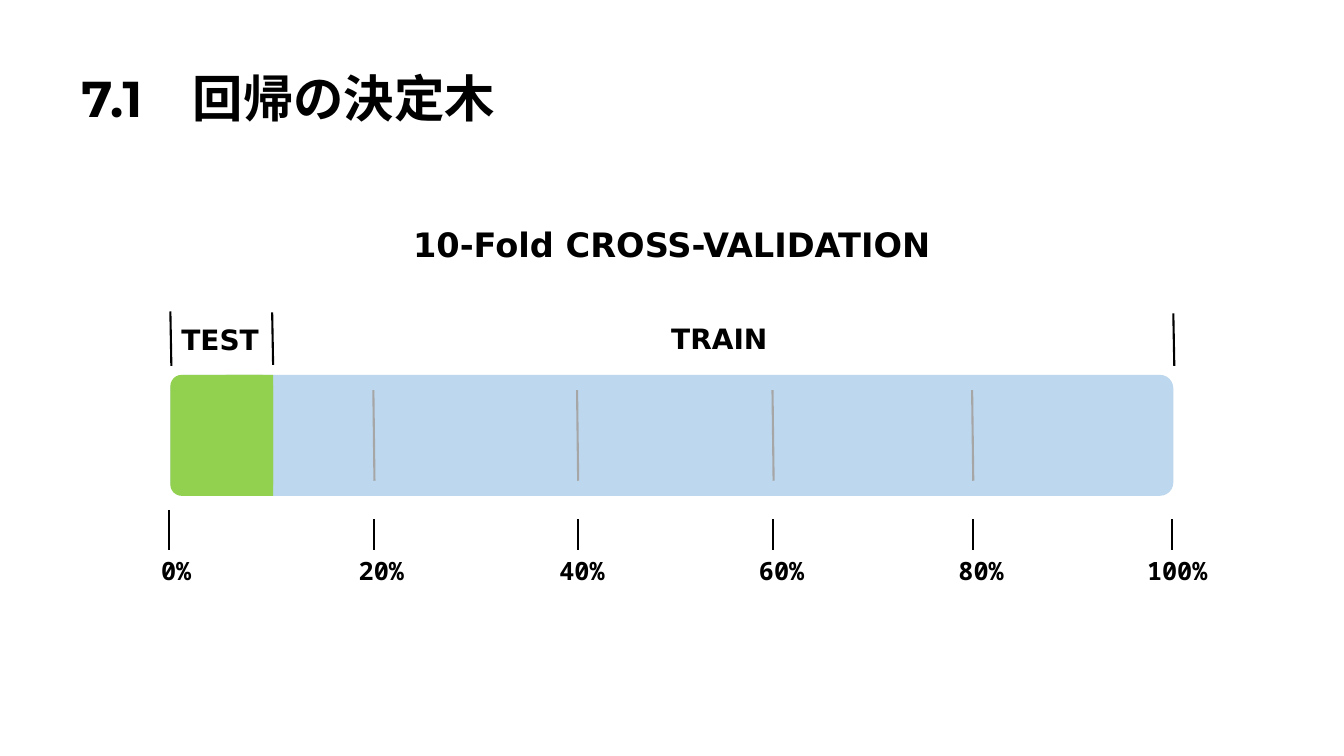
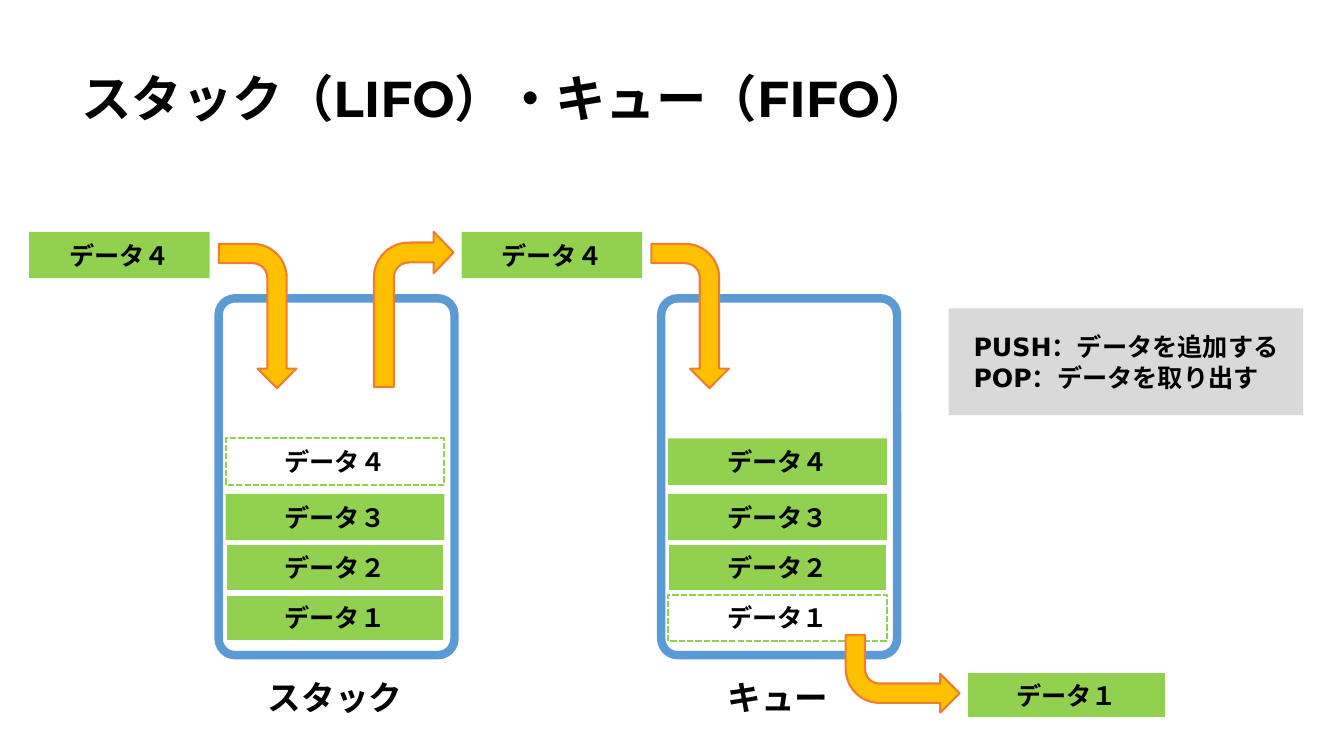
"""Build two teaching slides: cross-validation, and stack and queue."""
from lxml.etree import SubElement
from pptx import Presentation
from pptx.dml.color import RGBColor
from pptx.enum.dml import MSO_LINE_DASH_STYLE as DASH
from pptx.enum.shapes import MSO_CONNECTOR as CONNECTOR, MSO_SHAPE as SHAPE
from pptx.enum.text import MSO_ANCHOR as ANCHOR, PP_ALIGN as ALIGN
from pptx.oxml.ns import qn
from pptx.util import Pt

BLACK = RGBColor(0x00, 0x00, 0x00)
WHITE = RGBColor(0xFF, 0xFF, 0xFF)
GREEN = RGBColor(0x92, 0xD0, 0x50)
PALE_BLUE = RGBColor(0xBD, 0xD7, 0xEE)
BLUE = RGBColor(0x5B, 0x9B, 0xD5)
AMBER = RGBColor(0xFF, 0xC0, 0x00)
ORANGE = RGBColor(0xED, 0x7D, 0x31)
GREY = RGBColor(0xA6, 0xA6, 0xA6)
PALE_GREY = RGBColor(0xD9, 0xD9, 0xD9)

TITLE = {"name": "Montserrat", "size": Pt(36), "bold": True}
HEADING = {"name": "DejaVu Sans", "size": Pt(24), "bold": True}
PART = {"name": "DejaVu Sans", "size": Pt(20), "bold": True}
NOTE = {"name": "DejaVu Sans", "size": Pt(18), "bold": True}
PERCENT = {"name": "Noto Sans Mono", "size": Pt(18), "bold": True}
DATA = {"name": "Arial", "size": Pt(18), "bold": True}
CAPTION = {"name": "Arial", "size": Pt(24), "bold": True}

BAR_LEFT, BAR_TOP, BAR_WIDTH, BAR_HEIGHT = 121.7, 267.8, 716.4, 86.4
TEST_WIDTH = 73.4
TICK_BOTTOM = 393.1
BOX_HEIGHT = 33.1
OUTSIDE_TOP = 165.6
OUTSIDE_WIDTH = 128.9
ITEM_TOPS = {"データ１": 424.8, "データ２": 388.8, "データ３": 352.8, "データ４": 313.2}
OUTLINED = ("データ１", "データ２")


def write(frame, text, style, align=ALIGN.LEFT, spacing=None):
    """Fill a text frame with one paragraph per line of text."""
    for index, line in enumerate(text.split("\n")):
        paragraph = frame.add_paragraph() if index else frame.paragraphs[0]
        paragraph.alignment = align
        paragraph.line_spacing = spacing
        run = paragraph.add_run()
        run.text = line
        for name, value in style.items():
            setattr(run.font, name, value)
        run.font.color.rgb = BLACK


def add_text(slide, box, text, style, wrap=True, anchor=ANCHOR.TOP, spacing=None):
    """Add a text box at (left, top, width, height)."""
    frame = slide.shapes.add_textbox(*map(Pt, box)).text_frame
    frame.word_wrap = wrap
    frame.vertical_anchor = anchor
    write(frame, text, style, spacing=spacing)


def add_block(slide, kind, box, fill=None, line=None, weight=1.5, rounding=None):
    """Add a flat preset shape with an optional fill and outline."""
    shape = slide.shapes.add_shape(kind, *map(Pt, box))
    shape.shadow.inherit = False
    if fill is None:
        shape.fill.background()
    else:
        shape.fill.solid()
        shape.fill.fore_color.rgb = fill
    if line is None:
        shape.line.fill.background()
    else:
        shape.line.color.rgb = line
        shape.line.width = Pt(weight)
    if rounding is not None:
        shape.adjustments[0] = rounding
    return shape


def add_line(slide, start, end, color=BLACK):
    """Add a thin straight line between two points."""
    line = slide.shapes.add_connector(CONNECTOR.STRAIGHT, *map(Pt, start + end))
    line.line.color.rgb = color
    line.line.width = Pt(1.5)
    SubElement(line._element.spPr, qn("a:effectLst"))


def add_data(slide, box, text, outline=None, removed=False):
    """Add a data box, dashed and empty when the item has been removed."""
    if removed:
        shape = add_block(slide, SHAPE.RECTANGLE, box, line=GREEN)
        shape.line.dash_style = DASH.SQUARE_DOT
    else:
        shape = add_block(slide, SHAPE.RECTANGLE, box, GREEN, outline)
    shape.text_frame.vertical_anchor = ANCHOR.MIDDLE
    write(shape.text_frame, text, DATA, ALIGN.CENTER)


def add_bent_arrow(slide, box, rotation=0, flip=False):
    """Add a bent arrow, turned and mirrored as needed."""
    arrow = add_block(slide, SHAPE.BENT_ARROW, box, AMBER, ORANGE)
    arrow.rotation = rotation
    if flip:
        arrow._element.spPr.xfrm.set("flipH", "1")
    return arrow


def add_push(slide, left, text):
    """Add an incoming data box and the arrow that leads it down."""
    add_data(slide, (left, OUTSIDE_TOP, OUTSIDE_WIDTH, BOX_HEIGHT), text)
    add_bent_arrow(slide, (left + 111.6, 198, 103, 55.4), rotation=90)


def add_container(slide, left, removed):
    """Add a container holding four data items, one of them removed."""
    add_block(slide, SHAPE.ROUNDED_RECTANGLE, (left, 213.1, 168.5, 254.9),
              WHITE, BLUE, 6, 0.07)
    for text, top in ITEM_TOPS.items():
        add_data(slide, (left + 5, top, 156.2, BOX_HEIGHT), text,
                 WHITE if text in OUTLINED else None, text == removed)


def add_titled_slide(presentation, title):
    """Add a blank slide with the shared title style."""
    slide = presentation.slides.add_slide(presentation.slide_layouts[6])
    add_text(slide, (51.1, 20.2, 828, 104.4), title, TITLE,
             anchor=ANCHOR.MIDDLE, spacing=0.9)
    return slide


def build_cross_validation(presentation):
    """Draw the data bar split into test and train parts."""
    slide = add_titled_slide(presentation, "7.1\u3000回帰の決定木")
    add_text(slide, (288, 156.2, 383.8, 36), "10-Fold CROSS-VALIDATION", HEADING, False)
    for width, color in ((BAR_WIDTH, PALE_BLUE), (TEST_WIDTH, GREEN)):
        add_block(slide, SHAPE.ROUNDED_RECTANGLE,
                  (BAR_LEFT, BAR_TOP, width, BAR_HEIGHT), color, rounding=0.11)
    square = TEST_WIDTH - 39.6
    add_block(slide, SHAPE.RECTANGLE,
              (BAR_LEFT + TEST_WIDTH - square, BAR_TOP, square, BAR_HEIGHT), GREEN)
    for x, top, bottom in ((121.7, 222.5, 261.4), (194.4, 223.2, 260.6),
                           (838.1, 223.9, 261.4)):
        add_line(slide, (x, top), (x + 0.7, bottom))
    add_text(slide, (122.4, 226.8, 72.7, 31.7), "TEST", PART)
    add_text(slide, (472.3, 226.1, 87.8, 31.7), "TRAIN", PART)
    ticks = (("0%", 121, 108, 44.6), ("20%", 267.1, 249.1, 51.1),
             ("40%", 412.6, 392.4, 51.1), ("60%", 552.2, 535, 51.1),
             ("80%", 694.8, 677.5, 51.1), ("100%", 837.4, 812.2, 61.2))
    for index, (label, x, left, width) in enumerate(ticks):
        add_line(slide, (x, 370.8 if index else 364.3), (x, TICK_BOTTOM))
        add_text(slide, (left, TICK_BOTTOM, width, 28.8), label, PERCENT)
    for label, x, left, width in ticks[1:-1]:
        add_line(slide, (x - 0.4, 278.6), (x + 0.4, 343.4), GREY)


def build_stack_and_queue(presentation):
    """Draw a stack and a queue with their incoming and outgoing data."""
    slide = add_titled_slide(presentation, "スタック（LIFO）・キュー（FIFO）")
    add_block(slide, SHAPE.RECTANGLE, (677.5, 220.3, 253.4, 76.3), PALE_GREY)
    add_text(slide, (688.3, 233.3, 232.6, 51.1),
             "PUSH：データを追加する\nPOP：データを取り出す", NOTE)
    add_container(slide, 156.2, "データ４")
    add_container(slide, 472.3, "データ１")
    add_text(slide, (184.3, 480.2, 110.2, 36), "スタック", CAPTION, False)
    add_text(slide, (512.6, 480.2, 86.4, 36), "キュー", CAPTION, False)
    for left in (20.9, 329.8):
        add_push(slide, left, "データ４")
    pop = add_bent_arrow(slide, (267.1, 165.6, 56.9, 110.9))
    pop.adjustments[1] = 0.26
    add_bent_arrow(slide, (604.1, 453.6, 81.4, 55.4), rotation=180, flip=True)
    add_data(slide, (690.5, 480.2, 142.6, BOX_HEIGHT), "データ１", WHITE)


def main():
    """Build and save the presentation."""
    presentation = Presentation()
    presentation.slide_width, presentation.slide_height = Pt(960), Pt(540)
    build_cross_validation(presentation)
    build_stack_and_queue(presentation)
    presentation.save("out.pptx")


main()
